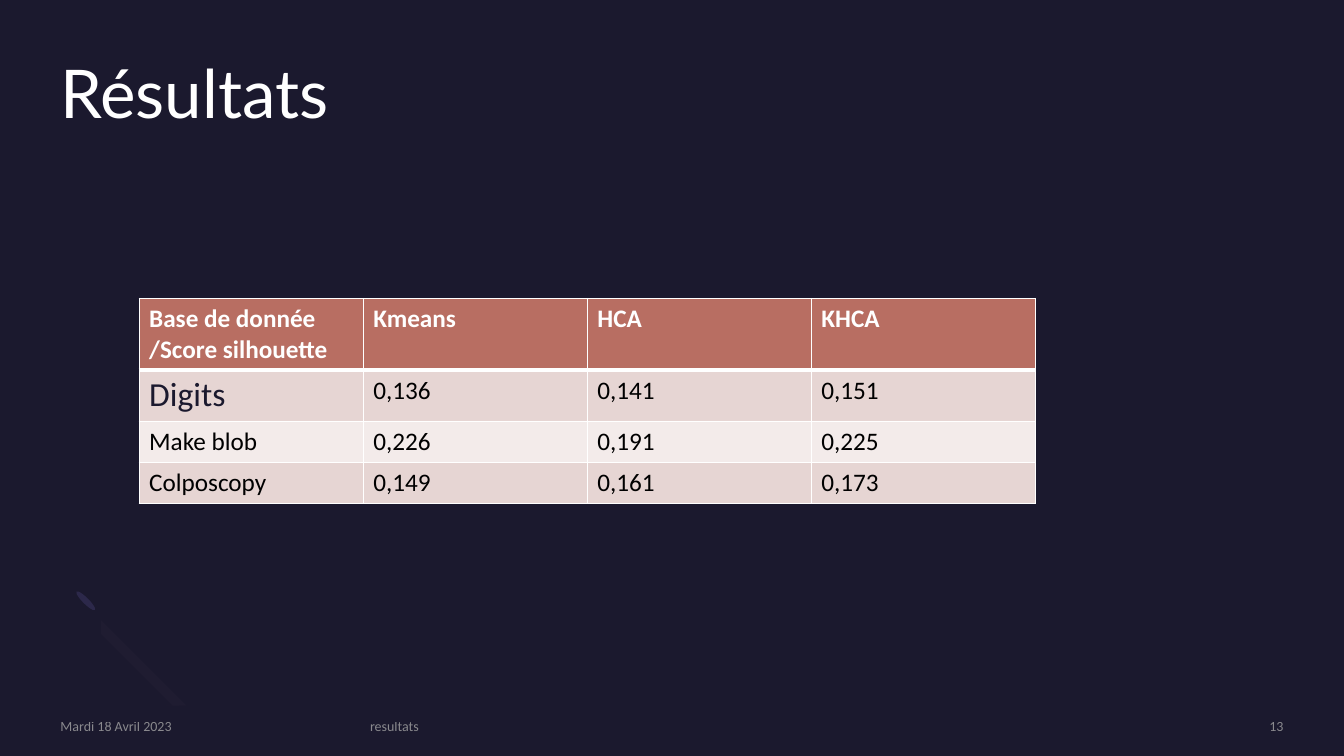
from lxml import etree
from pptx import Presentation
from pptx.dml.color import RGBColor
from pptx.enum.shapes import MSO_SHAPE
from pptx.enum.text import MSO_ANCHOR, PP_ALIGN
from pptx.oxml.ns import qn
from pptx.util import Inches, Pt

LEFT, RIGHT = PP_ALIGN.LEFT, PP_ALIGN.RIGHT
TOP, MIDDLE = MSO_ANCHOR.TOP, MSO_ANCHOR.MIDDLE
OVAL = MSO_SHAPE.OVAL

# Content
TITLE = "Résultats"
SCORES = [
    ("Base de donnée /Score silhouette", "Kmeans", "HCA", "KHCA"),
    ("Digits", "0,136", "0,141", "0,151"),
    ("Make blob", "0,226", "0,191", "0,225"),
    ("Colposcopy", "0,149", "0,161", "0,173"),
]
# text, left, width, alignment
FOOTERS = [
    ("Mardi 18 Avril 2023", 0.6, 2.88, LEFT),
    ("resultats", 3.67, 6.98, LEFT),
    ("13", 10.88, 1.85, RIGHT),
]

# Theme
THEME = {
    "background": "1B192E", "white": "FFFFFF", "black": "000000",
    "header": "B86E62", "bands": ("E6D5D3", "F3EBEA"),
    "footer": "A6A6A6", "footer_alpha": 80,
    "petal": "2C284A", "glow": "1F1C31",
    "title_font": "Lato", "body_font": "Calibri",
    "title_size": 48, "lead_size": 24, "cell_size": 18, "footer_size": 10,
}

# Layout, in inches
SLIDE_W, SLIDE_H, MARGIN = 13.33, 7.5, 0.6
TABLE_LEFT, TABLE_TOP, TABLE_W, ROW_H = 1.38, 2.96, 8.89, 0.41
FOOTER_TOP, FOOTER_H = 7.12, 0.17
PETAL_W, PETAL_H, PETAL_ANGLE = 0.06, 0.26, 135
PETALS = [(1.35, 6.37), (0.82, 5.83)]
# Outer and inner edge of the arc, as cubic curves
ARC = [
    ((0.76, 6.59), (0.56, 6.39), (0.58, 6.05), (0.81, 5.82)),
    ((0.99, 6.0), (0.87, 6.11), (0.86, 6.29), (0.96, 6.38)),
    ((0.96, 6.38), (1.06, 6.48), (1.23, 6.47), (1.35, 6.36)),
    ((1.52, 6.54), (1.3, 6.76), (0.95, 6.79), (0.76, 6.59)),
]
ARC_STEPS, ARC_ANGLE = 12, 135
# percent along the arc's gradient, colour
ARC_STOPS = [(0, "background"), (54, "background"), (61, "glow"),
             (68, "background"), (100, "background")]


def rgb(value):
    return RGBColor.from_string(value)


def add_run(p, text, font, size, color, bold=False):
    r = p.add_run()
    r.text = text
    r.font.name, r.font.size, r.font.bold = font, Pt(size), bold
    r.font.color.rgb = rgb(color)
    return r


def place(sp, *box):
    sp.left, sp.top, sp.width, sp.height = map(Inches, box)


def bare_frame(sp, anchor):
    tf = sp.text_frame
    tf.word_wrap = True
    tf.vertical_anchor = anchor
    tf.margin_left = tf.margin_right = tf.margin_top = tf.margin_bottom = 0
    return tf


def add_borders(cell, bottom):
    tc_pr = cell._tc.get_or_add_tcPr()
    for side, width in zip("LRTB", (1, 1, 1, bottom)):
        ln = etree.SubElement(tc_pr, qn("a:ln" + side), w=str(Pt(width)))
        fill = etree.SubElement(ln, qn("a:solidFill"))
        etree.SubElement(fill, qn("a:srgbClr"), val=THEME["white"])


def curve_point(curve, t):
    weights = ((1 - t) ** 3, 3 * t * (1 - t) ** 2, 3 * t * t * (1 - t), t ** 3)
    return tuple(sum(w * pt[axis] for w, pt in zip(weights, curve)) for axis in (0, 1))


def add_petals(s):
    for left, top in PETALS:
        sp = s.shapes.add_shape(OVAL, *map(Inches, (left, top, PETAL_W, PETAL_H)))
        sp.rotation = PETAL_ANGLE
        sp.shadow.inherit = False
        sp.fill.solid()
        sp.fill.fore_color.rgb = rgb(THEME["petal"])
        sp.line.fill.background()


def add_arc(s):
    points = [curve_point(c, i / ARC_STEPS) for c in ARC for i in range(ARC_STEPS + 1)]
    outline = s.shapes.build_freeform(*points[0], scale=Inches(1))
    outline.add_line_segments(points[1:], close=True)
    sp = outline.convert_to_shape()
    sp.shadow.inherit = False
    sp.line.fill.background()
    # Gradient that glows only halfway along the arc
    sp.fill.gradient()
    grad = sp._element.spPr.find(qn("a:gradFill"))
    for child in list(grad):
        grad.remove(child)
    stops = etree.SubElement(grad, qn("a:gsLst"))
    for percent, color in ARC_STOPS:
        stop = etree.SubElement(stops, qn("a:gs"), pos=str(percent * 1000))
        etree.SubElement(stop, qn("a:srgbClr"), val=THEME[color])
    etree.SubElement(grad, qn("a:lin"), ang=str(ARC_ANGLE * 60000), scaled="0")


def add_title(s):
    sp = s.shapes.title
    place(sp, MARGIN, MARGIN, SLIDE_W - 2 * MARGIN, 1.46)
    p = bare_frame(sp, TOP).paragraphs[0]
    p.alignment, p.line_spacing = LEFT, 0.9
    add_run(p, TITLE, THEME["title_font"], THEME["title_size"], THEME["white"])


def add_scores(s):
    rows, cols = len(SCORES), len(SCORES[0])
    table = s.shapes.add_table(rows, cols, *map(
        Inches, (TABLE_LEFT, TABLE_TOP, TABLE_W, ROW_H * rows))).table
    for col in table.columns:
        col.width = Inches(TABLE_W / cols)
    for i, values in enumerate(SCORES):
        table.rows[i].height = Inches(ROW_H)
        for j, value in enumerate(values):
            cell = table.cell(i, j)
            header, lead = i == 0, (i, j) == (1, 0)
            # A thick rule separates the header from the scores
            add_borders(cell, bottom=3 if header else 1)
            cell.fill.solid()
            cell.fill.fore_color.rgb = rgb(
                THEME["header"] if header else THEME["bands"][(i - 1) % 2])
            color = "white" if header else "background" if lead else "black"
            add_run(cell.text_frame.paragraphs[0], value, THEME["body_font"],
                    THEME["lead_size" if lead else "cell_size"], THEME[color], header)


def add_footers(s):
    for text, left, width, align in FOOTERS:
        sp = s.shapes.add_textbox(*map(Inches, (left, FOOTER_TOP, width, FOOTER_H)))
        p = bare_frame(sp, MIDDLE).paragraphs[0]
        p.alignment = align
        r = add_run(p, text, THEME["body_font"], THEME["footer_size"], THEME["footer"])
        clr = r._r.find(".//" + qn("a:srgbClr"))
        etree.SubElement(clr, qn("a:alpha"), val=str(THEME["footer_alpha"] * 1000))


def main():
    prs = Presentation()
    prs.slide_width, prs.slide_height = Inches(SLIDE_W), Inches(SLIDE_H)
    s = prs.slides.add_slide(prs.slide_layouts[5])
    s.background.fill.solid()
    s.background.fill.fore_color.rgb = rgb(THEME["background"])
    add_petals(s)
    add_arc(s)
    add_title(s)
    add_scores(s)
    add_footers(s)
    prs.save("out.pptx")


if __name__ == "__main__":
    main()
